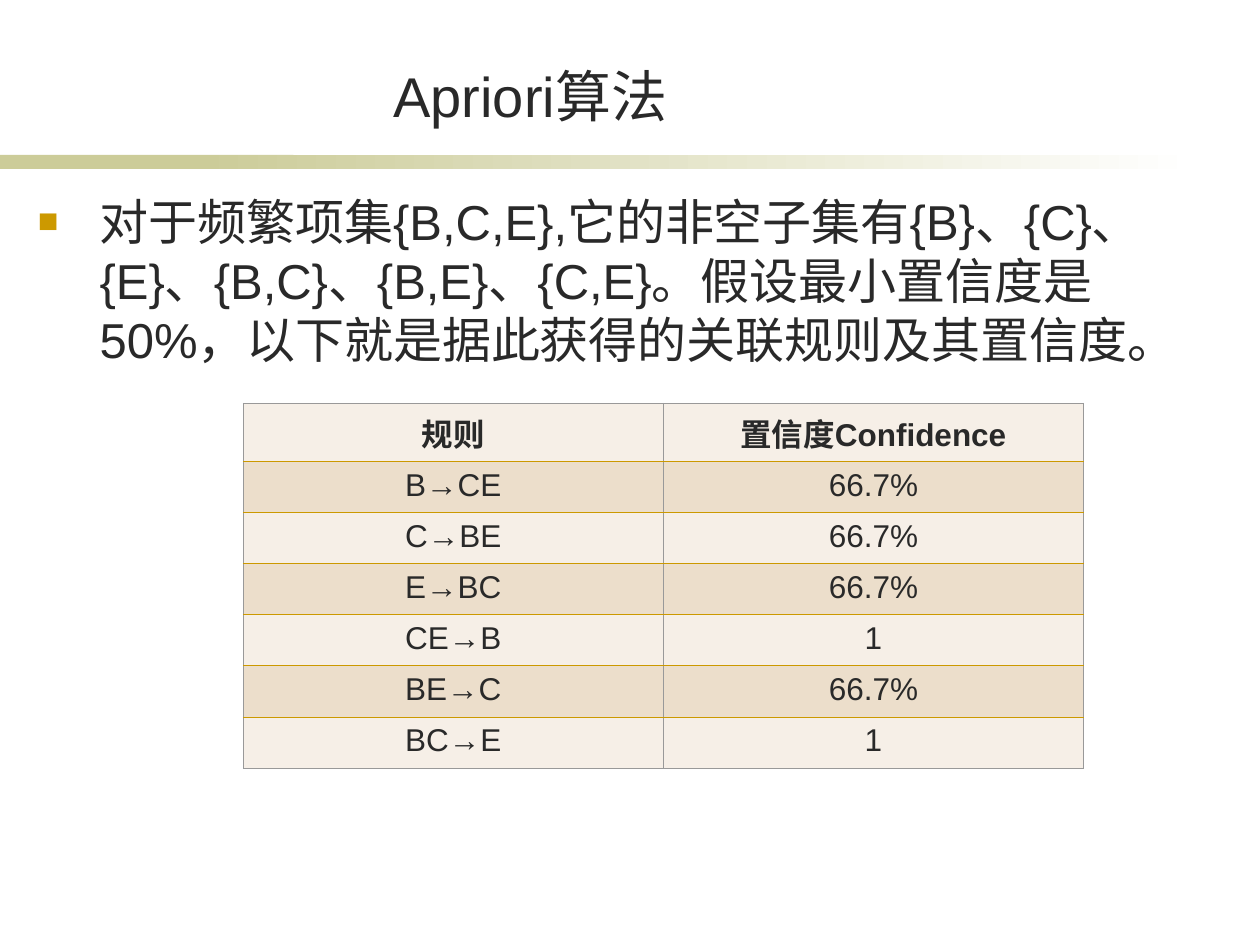
"""Build the Apriori slide with its association rules and confidence table."""
from dataclasses import dataclass

from lxml.etree import SubElement
from pptx import Presentation
from pptx.dml.color import RGBColor
from pptx.enum.shapes import MSO_SHAPE as Preset
from pptx.enum.text import MSO_ANCHOR as Anchor, MSO_AUTO_SIZE as AutoSize, PP_ALIGN as Align
from pptx.oxml.ns import qn
from pptx.util import Inches, Pt

INK = RGBColor(0x29, 0x29, 0x29)
GOLD = RGBColor(0xCC, 0x99, 0x00)
GREY = RGBColor(0x99, 0x99, 0x99)
OLIVE = RGBColor(0xCC, 0xCC, 0x99)
WHITE = RGBColor(0xFF, 0xFF, 0xFF)
CREAM = RGBColor(0xF6, 0xEF, 0xE7)
SAND = RGBColor(0xEC, 0xDE, 0xCB)

EXPLANATION = (
    "对于频繁项集{B,C,E},它的非空子集有{B}、{C}、{E}、{B,C}、{B,E}、{C,E}。"
    "假设最小置信度是50%，以下就是据此获得的关联规则及其置信度。"
)


@dataclass(frozen=True)
class Box:
    left: float
    top: float
    width: float
    height: float

    def lengths(self) -> tuple:
        return tuple(map(Inches, (self.left, self.top, self.width, self.height)))


@dataclass(frozen=True)
class Rule:
    implication: str
    confidence: str


HEADING = Rule("规则", "置信度Confidence")
RULES = (
    Rule("B→CE", "66.7%"),
    Rule("C→BE", "66.7%"),
    Rule("E→BC", "66.7%"),
    Rule("CE→B", "1"),
    Rule("BE→C", "66.7%"),
    Rule("BC→E", "1"),
)


def set_all(target, values: dict) -> None:
    for name, value in values.items():
        setattr(target, name, value)


def format_font(paragraph, size: float, bold: bool = False) -> None:
    for run in paragraph.runs:
        set_all(run.font, {"name": "Arial", "size": Pt(size), "bold": bold})
        run.font.color.rgb = INK


def fill_placeholder(placeholder, text: str, box: Box, size: float, anchor: Anchor):
    left, top, width, height = box.lengths()
    set_all(placeholder, {"left": left, "top": top, "width": width, "height": height})
    frame = placeholder.text_frame
    frame.text = text
    set_all(frame, {"word_wrap": True, "auto_size": AutoSize.NONE, "vertical_anchor": anchor})
    paragraph = frame.paragraphs[0]
    paragraph.space_before = Pt(0)
    format_font(paragraph, size)
    return paragraph


def add_square_bullet(paragraph, indent: float) -> None:
    properties = paragraph._p.get_or_add_pPr()
    properties.set("marL", str(Inches(indent)))
    properties.set("indent", str(-Inches(indent)))
    bullet_color = SubElement(properties, qn("a:buClr"))
    SubElement(bullet_color, qn("a:srgbClr"), val=str(GOLD))
    SubElement(properties, qn("a:buSzPct"), val="70000")
    SubElement(properties, qn("a:buFont"), typeface="Arial")
    SubElement(properties, qn("a:buChar"), char="■")


def add_band(slide, box: Box, fades: bool) -> None:
    band = slide.shapes.add_shape(Preset.RECTANGLE, *box.lengths())
    band.shadow.inherit = False
    band.line.fill.background()
    if fades:
        band.fill.gradient()
        band.fill.gradient_angle = 0
        for stop, color in zip(band.fill.gradient_stops, (OLIVE, WHITE)):
            stop.color.rgb = color
    else:
        band.fill.solid()
        band.fill.fore_color.rgb = OLIVE


def add_border(cell, side: str, color: RGBColor) -> None:
    border = SubElement(cell._tc.get_or_add_tcPr(), qn(f"a:{side}"), w=str(Pt(0.45)))
    fill = SubElement(border, qn("a:solidFill"))
    SubElement(fill, qn("a:srgbClr"), val=str(color))


def add_rule_table(slide, box: Box) -> None:
    entries = (HEADING, *RULES)
    table = slide.shapes.add_table(len(entries), 2, *box.lengths()).table
    last = len(entries) - 1
    for row, rule in enumerate(entries):
        for column, text in enumerate((rule.implication, rule.confidence)):
            cell = table.cell(row, column)
            cell.text = text
            cell.vertical_anchor = Anchor.TOP
            borders = {
                "lnL": GREY,
                "lnR": GREY,
                "lnT": GOLD if row else GREY,
                "lnB": GOLD if row < last else GREY,
            }
            for side, color in borders.items():
                add_border(cell, side, color)
            cell.fill.solid()
            cell.fill.fore_color.rgb = SAND if row % 2 else CREAM
            paragraph = cell.text_frame.paragraphs[0]
            paragraph.alignment = Align.CENTER
            format_font(paragraph, 18, bold=row == 0)


def main() -> None:
    deck = Presentation()
    set_all(deck, {"slide_width": Inches(10), "slide_height": Inches(7.5)})
    slide = deck.slides.add_slide(deck.slide_layouts[1])
    add_band(slide, Box(0, 1.23, 2.33, 0.11), fades=False)
    add_band(slide, Box(1.58, 1.23, 7.92, 0.11), fades=True)
    title = fill_placeholder(
        slide.shapes.title, "Apriori算法", Box(1.14, 0.44, 6.14, 0.63), 32, Anchor.BOTTOM
    )
    title.alignment = Align.CENTER
    explanation = fill_placeholder(
        slide.placeholders[1], EXPLANATION, Box(0.2, 1.47, 9.61, 5.12), 28, Anchor.TOP
    )
    add_square_bullet(explanation, 0.49)
    add_rule_table(slide, Box(1.93, 3.2, 6.67, 2.84))
    deck.save("out.pptx")


if __name__ == "__main__":
    main()
